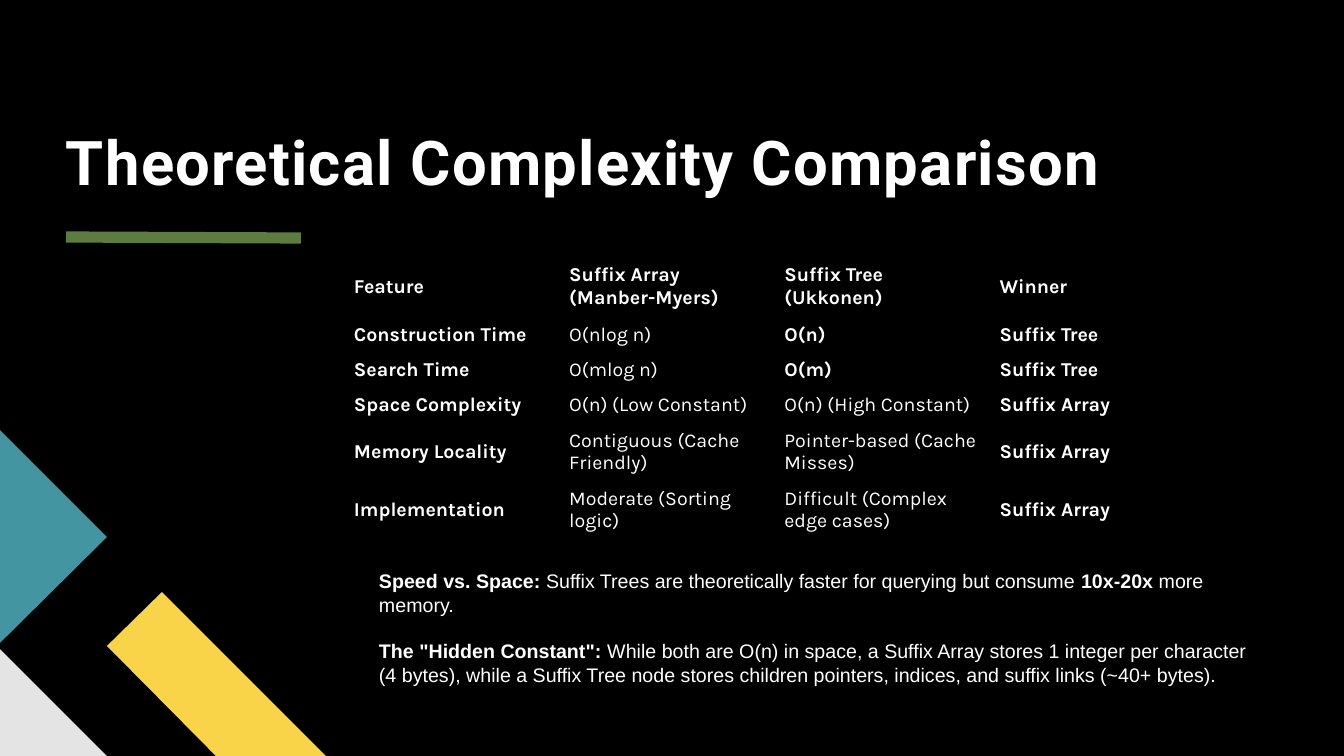
from lxml import etree
from pptx import Presentation, util as u
from pptx.dml.color import RGBColor
from pptx.enum import shapes, text
from pptx.oxml import ns

PX = 914400 / 100.8
BLACK = RGBColor(0x00, 0x00, 0x00)
WHITE = RGBColor(0xFF, 0xFF, 0xFF)
GREEN = RGBColor(0x5D, 0x7D, 0x40)
YELLOW = RGBColor(0xF9, 0xD4, 0x48)
GREY = RGBColor(0xE4, 0xE4, 0xE4)
TEAL = RGBColor(0x44, 0x95, 0xA2)

ROWS = [
    ["Feature", "Suffix Array (Manber-Myers)", "Suffix Tree (Ukkonen)", "Winner"],
    ["Construction Time", "O(nlog n)", "O(n)", "Suffix Tree"],
    ["Search Time", "O(mlog n)", "O(m)", "Suffix Tree"],
    ["Space Complexity", "O(n) (Low Constant)", "O(n) (High Constant)", "Suffix Array"],
    ["Memory Locality", "Contiguous (Cache Friendly)", "Pointer-based (Cache Misses)",
     "Suffix Array"],
    ["Implementation", "Moderate (Sorting logic)", "Difficult (Complex edge cases)",
     "Suffix Array"],
]
ROW_HEIGHTS = [61, 35, 35, 36, 58, 58]
# Each note alternates bold and regular spans, starting with bold.
NOTES = [
    ["Speed vs. Space:",
     " Suffix Trees are theoretically faster for querying but consume ",
     "10x-20x", " more memory."],
    ["The \"Hidden Constant\":",
     " While both are O(n) in space, a Suffix Array stores 1 integer per character "
     "(4 bytes), while a Suffix Tree node stores children pointers, indices, and "
     "suffix links (~40+ bytes)."],
]


def px(length):
    return u.Emu(round(length * PX))


def set_font(font, name, size, bold=None):
    font.name, font.size, font.bold = name, u.Pt(size), bold
    font.color.rgb = WHITE


def add_text_frame(page, left, top, width, height, anchor, insets=(0, 0, 0, 0)):
    frame = page.shapes.add_textbox(px(left), px(top), px(width), px(height)).text_frame
    frame.word_wrap = True
    frame.vertical_anchor = anchor
    (frame.margin_left, frame.margin_top,
     frame.margin_right, frame.margin_bottom) = map(px, insets)
    return frame


def add_corner(page, left, top):
    """Draw the three coloured shapes in the lower left corner."""
    outlines = [
        (YELLOW, [(107, 216), (162, 162), (326, 326), (216, 326)]),
        (GREY, [(0, 219), (107, 326), (0, 326)]),
        (TEAL, [(0, 0), (107, 107), (0, 213)]),
    ]
    for color, points in outlines:
        corners = [(left + x, top + y) for x, y in points]
        builder = page.shapes.build_freeform(*corners[0], scale=PX)
        builder.add_line_segments(corners[1:], close=True)
        shape = builder.convert_to_shape()
        shape.shadow.inherit = False
        shape.fill.solid()
        shape.fill.fore_color.rgb = color
        shape.line.fill.background()


def add_heading(page, left, top, width, height):
    frame = add_text_frame(page, left, top, width, height, text.MSO_ANCHOR.BOTTOM)
    para = frame.paragraphs[0]
    span = para.add_run()
    span.text = "Theoretical Complexity Comparison"
    span.font._element.set("spc", "90")
    para.line_spacing = 0.8
    set_font(para.font, "Roboto", 44, True)

    rule_top = top + height + 40
    rule = page.shapes.add_connector(shapes.MSO_CONNECTOR.STRAIGHT, px(left), px(rule_top),
                                     px(left + 235), px(rule_top + 1))
    rule.line.color.rgb = GREEN
    rule.line.width = u.Pt(8)
    etree.SubElement(rule._element.spPr, ns.qn("a:effectLst"))


def add_borders(cell):
    properties = cell._tc.get_or_add_tcPr()
    for side in ("lnL", "lnR", "lnT", "lnB"):
        line = etree.SubElement(properties, ns.qn("a:" + side), w=str(u.Pt(0.75)))
        fill = etree.SubElement(line, ns.qn("a:solidFill"))
        etree.SubElement(fill, ns.qn("a:srgbClr"), val=str(BLACK))


def add_comparison(page, left, top, width):
    columns = len(ROWS[0])
    frame = page.shapes.add_table(len(ROWS), columns, px(left), px(top),
                                  px(width), px(sum(ROW_HEIGHTS)))
    table = frame.table
    table.first_row = table.horz_banding = False
    for column in table.columns:
        column.width = px(width / columns)
    for r, (labels, height) in enumerate(zip(ROWS, ROW_HEIGHTS)):
        table.rows[r].height = px(height)
        for c, label in enumerate(labels):
            cell = table.cell(r, c)
            cell.text = label
            cell.vertical_anchor = text.MSO_ANCHOR.MIDDLE
            cell.margin_left = cell.margin_right = px(9)
            cell.margin_top = cell.margin_bottom = px(5)
            add_borders(cell)
            cell.fill.background()
            bold = r == 0 or c in (0, 3) or label in ("O(n)", "O(m)")
            set_font(cell.text_frame.paragraphs[0].font, "Karla", 14, bold)


def add_notes(page, left, top, width, height):
    frame = add_text_frame(page, left, top, width, height, text.MSO_ANCHOR.TOP,
                           (34, 0, 10, 5))
    for n, spans in enumerate(NOTES):
        para = frame.add_paragraph() if n else frame.paragraphs[0]
        para.space_before = px(23 if n else 0)
        set_font(para.font, "Arial", 14)
        for s, words in enumerate(spans):
            span = para.add_run()
            span.text = words
            span.font.bold = s % 2 == 0


def main():
    deck = Presentation()
    deck.slide_width, deck.slide_height = px(1344), px(756)
    page = deck.slides.add_slide(deck.slide_layouts[6])
    page.background.fill.solid()
    page.background.fill.fore_color.rgb = BLACK
    add_corner(page, 0, 430)
    add_heading(page, 66, 11, 1198, 186)
    add_comparison(page, 345, 256, 861)
    add_notes(page, 345, 569, 919, 146)
    deck.save("out.pptx")


if __name__ == "__main__":
    main()
